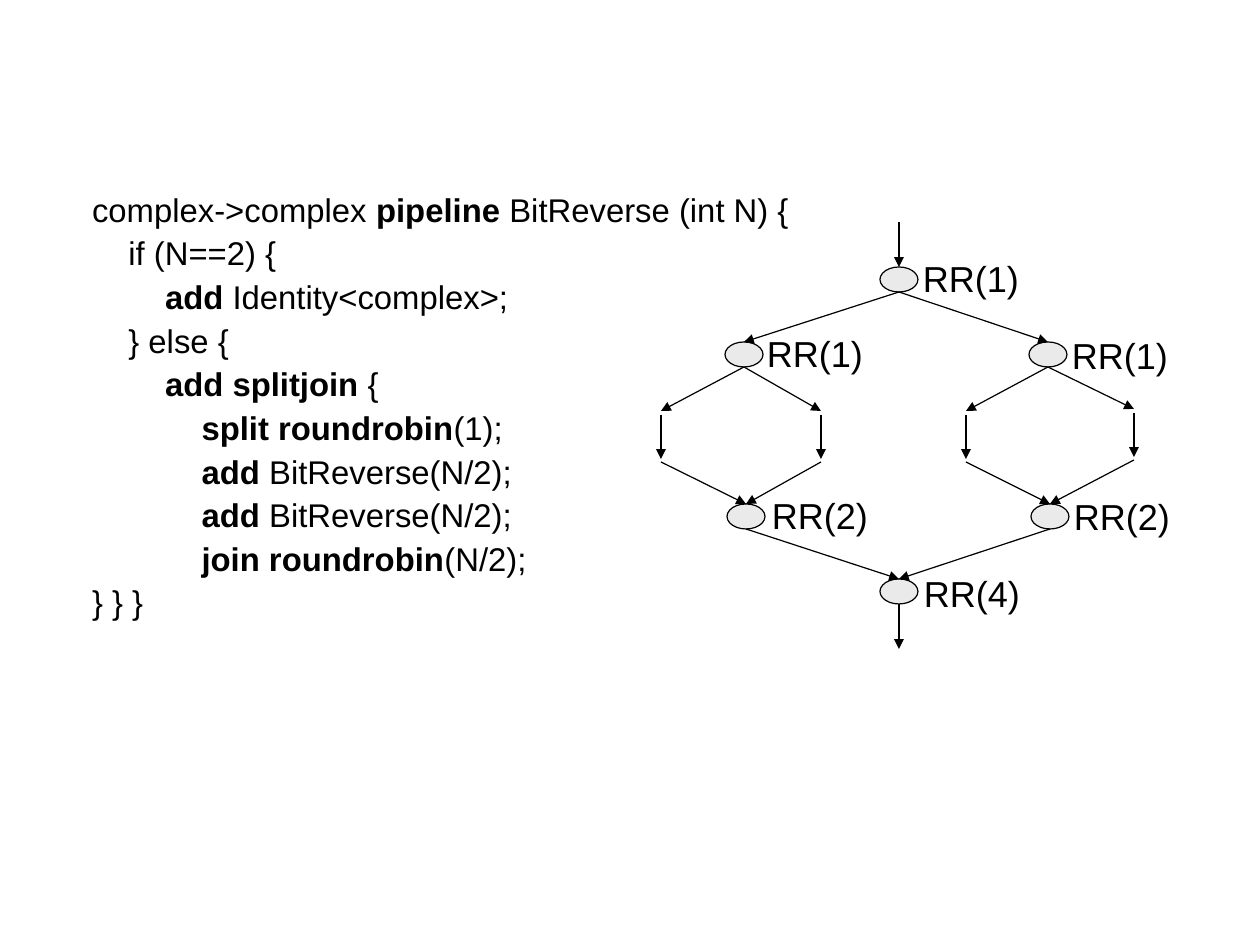
import pptx
import pptx.dml.color
import pptx.enum.shapes
import pptx.enum.text
import pptx.oxml
import pptx.oxml.ns
import pptx.util

PX = 7743
COLORS = {"ink": "000000", "node": "EAEAEA", "paper": "FFFFFF"}

CODE = [
    "complex->complex *pipeline* BitReverse (int N) {",
    "    if (N==2) {",
    "        *add* Identity<complex>;",
    "    } else {",
    "        *add splitjoin* {",
    "            *split roundrobin*(1);",
    "            *add* BitReverse(N/2);",
    "            *add* BitReverse(N/2);",
    "            *join roundrobin*(N/2);",
    "} } }",
]

NODES = {
    "split": (880, 267, "RR(1)", 911, 250),
    "left split": (725, 342, "RR(1)", 755, 325),
    "right split": (1029, 342, "RR(1)", 1060, 327),
    "left join": (727, 504, "RR(2)", 760, 487),
    "right join": (1031, 504, "RR(2)", 1062, 488),
    "join": (880, 579, "RR(4)", 912, 565),
}
NODE_W, NODE_H = 38, 25

BRANCHES = [("left", 661, 0), ("left", 821, 0), ("right", 966, 0), ("right", 1134, -2)]


class Diagram:
    font = "Arial"
    line_width = 0.75

    def __init__(self, slide):
        self.slide = slide

    def color(self, name):
        return pptx.dml.color.RGBColor.from_string(COLORS[name])

    def shape(self, kind, x, y, w, h, fill, line=None):
        sp = self.slide.shapes.add_shape(kind, x * PX, y * PX, w * PX, h * PX)
        sp.shadow.inherit = False
        sp.fill.solid()
        sp.fill.fore_color.rgb = self.color(fill)
        if line:
            sp.line.color.rgb = self.color(line)
            sp.line.width = pptx.util.Pt(self.line_width)
        else:
            sp.line.fill.background()
        return sp

    def frame(self, sp, wrap):
        tf = sp.text_frame
        values = {
            "margin_left": 12 * PX,
            "margin_right": 6 * PX,
            "margin_top": 6 * PX,
            "margin_bottom": 6 * PX,
            "vertical_anchor": pptx.enum.text.MSO_ANCHOR.TOP,
            "word_wrap": wrap,
        }
        for name, value in values.items():
            setattr(tf, name, value)
        return tf

    def run(self, p, text, size, bold=False):
        r = p.add_run()
        r.text = text
        values = {"name": self.font, "size": pptx.util.Pt(size), "bold": bold}
        for name, value in values.items():
            setattr(r.font, name, value)
        r.font.color.rgb = self.color("ink")

    def code(self, x, y, w, h, lines):
        sp = self.shape(pptx.enum.shapes.MSO_SHAPE.RECTANGLE, x, y, w, h, "paper")
        tf = self.frame(sp, True)
        for i, line in enumerate(lines):
            p = tf.add_paragraph() if i else tf.paragraphs[0]
            values = {
                "alignment": pptx.enum.text.PP_ALIGN.LEFT,
                "line_spacing": 0.9,
                "space_before": pptx.util.Pt(5 if i else 0),
            }
            for name, value in values.items():
                setattr(p, name, value)
            for j, text in enumerate(line.split("*")):
                if text:
                    self.run(p, text, 20, j % 2 == 1)

    def node(self, x, y):
        return self.shape(pptx.enum.shapes.MSO_SHAPE.OVAL, x, y, NODE_W, NODE_H, "node", "ink")

    def label(self, x, y, text):
        sp = self.slide.shapes.add_textbox(x * PX, y * PX, 122 * PX, 56 * PX)
        tf = self.frame(sp, False)
        self.run(tf.paragraphs[0], text, 22)

    def arrow(self, start, end, target=None):
        cx = self.slide.shapes.add_connector(
            pptx.enum.shapes.MSO_CONNECTOR.STRAIGHT, *(v * PX for v in start + end)
        )
        if target is not None:
            cx.end_connect(target, 0)
        cx.line.color.rgb = self.color("ink")
        cx.line.width = pptx.util.Pt(self.line_width)
        tail = pptx.oxml.parse_xml(
            f'<a:tailEnd {pptx.oxml.ns.nsdecls("a")} type="triangle"/>'
        )
        cx.line._get_or_add_ln().append(tail)
        effects = pptx.oxml.parse_xml(f'<a:effectLst {pptx.oxml.ns.nsdecls("a")}/>')
        cx._element.spPr.append(effects)


def top(name):
    x, y = NODES[name][:2]
    return x + NODE_W // 2, y


def bottom(name):
    x, y = top(name)
    return x, y + NODE_H


def main():
    prs = pptx.Presentation()
    prs.slide_width = 1260 * PX
    prs.slide_height = 945 * PX
    d = Diagram(prs.slides.add_slide(prs.slide_layouts[6]))

    d.code(80, 188, 739, 478, CODE)

    ovals = {name: d.node(x, y) for name, (x, y, *_) in NODES.items()}

    x, y = top("split")
    d.arrow((x, y - 45), (x, y), ovals["split"])
    for side in ("left", "right"):
        for start, end in (("split", f"{side} split"), (f"{side} join", "join")):
            d.arrow(bottom(start), top(end), ovals[end])
    for side, x, dy in BRANCHES:
        d.arrow(bottom(f"{side} split"), (x, 411 + dy))
        d.arrow((x, 415 + dy), (x, 459 + dy))
        d.arrow((x, 462 + dy), top(f"{side} join"), ovals[f"{side} join"])
    x, y = bottom("join")
    d.arrow((x, y), (x, y + 45))

    for _, _, text, x, y in NODES.values():
        d.label(x, y, text)

    prs.save("out.pptx")


if __name__ == "__main__":
    main()
